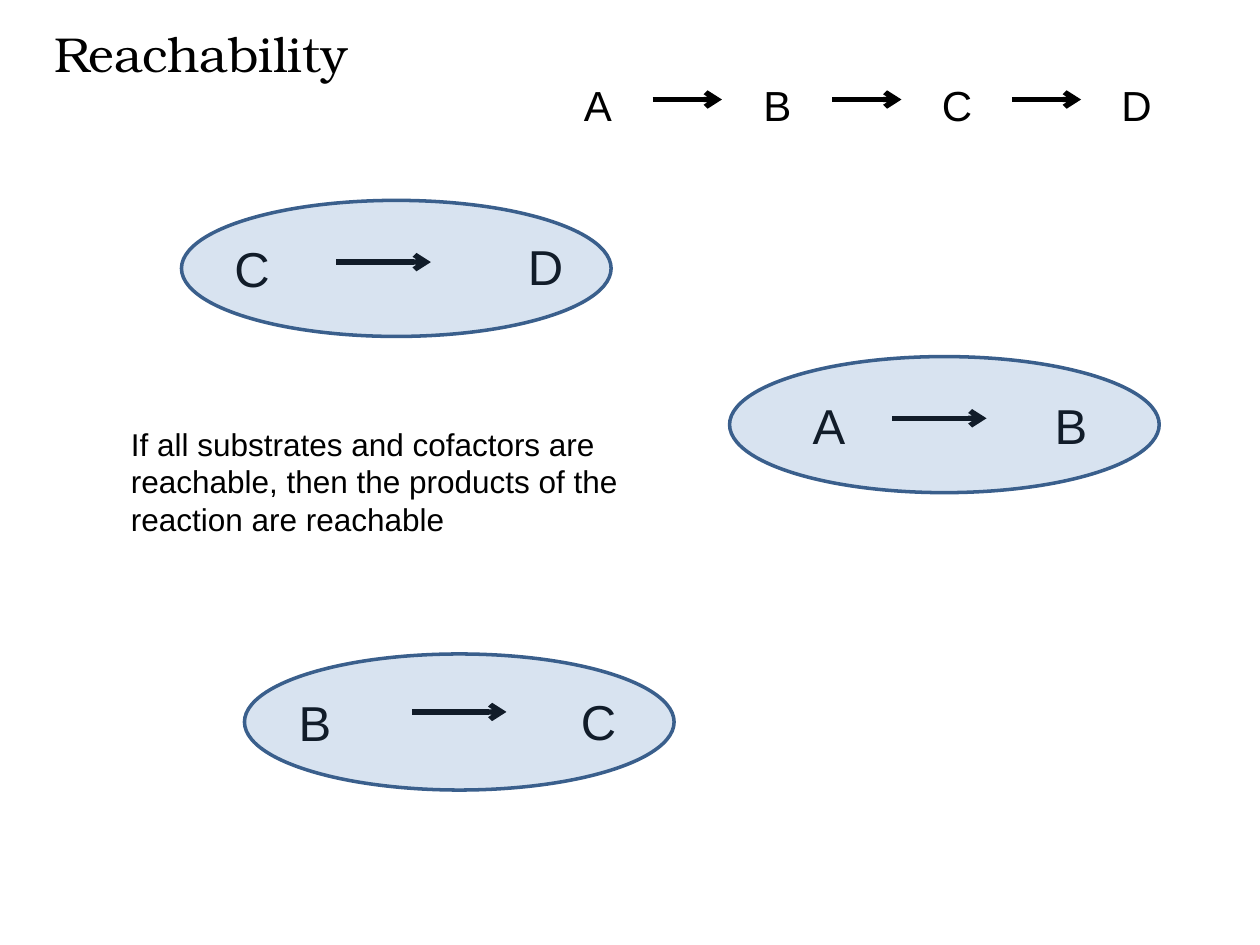
"""Build the Reachability slide: a reaction chain and its three reactions."""
from lxml import etree
from pptx import Presentation
from pptx import util as u
from pptx.dml import color
from pptx.enum import shapes, text
from pptx.oxml import ns

BLACK, BLUE, OUTLINE = "000000", "4F81BD", "3A5F8C"
CHAIN = "ABCD"
CHAIN_LEFT, CHAIN_TOP, CHAIN_STEP = 4.38, 0.58, 1.425
# Ellipse corner, arrow start, then each letter with its left and top
REACTIONS = [
    ((1.44, 1.59), (2.67, 2.08), [("C", 1.5, 1.84), ("D", 3.83, 1.83)]),
    ((5.79, 2.83), (7.08, 3.32), [("A", 6.08, 3.09), ("B", 8, 3.09)]),
    ((1.94, 5.19), (3.27, 5.65), [("B", 2, 5.45), ("C", 4.25, 5.44)]),
]


def rgb(value):
    """Return the colour for a hex string."""
    return color.RGBColor.from_string(value)


def inches(*lengths):
    """Return the lengths in inches."""
    return [u.Inches(length) for length in lengths]


def apply(target, formats):
    """Set every format value on the target."""
    for name, value in formats.items():
        setattr(target, name, value)


def write(holder, words, size, font="Arial", align=text.PP_ALIGN.LEFT):
    """Write black text into a shape that grows to fit it."""
    frame = holder.text_frame
    frame.text = words
    apply(frame, {"word_wrap": True,
                  "vertical_anchor": text.MSO_ANCHOR.TOP,
                  "auto_size": text.MSO_AUTO_SIZE.SHAPE_TO_FIT_TEXT})
    paragraph = frame.paragraphs[0]
    paragraph.alignment = align
    run_font = paragraph.runs[0].font
    apply(run_font, {"name": font, "size": u.Pt(size)})
    run_font.color.rgb = rgb(BLACK)


def add_title(slide, words):
    """Place and format the title placeholder."""
    title = slide.shapes.title
    sides = ("left", "top", "width", "height")
    apply(title, dict(zip(sides, inches(0.33, 0.14, 9.42, 0.57))))
    write(title, words, 28, font="TeX Gyre Bonum")


def add_text(slide, words, box, size, align=text.PP_ALIGN.CENTER):
    """Add a text box."""
    write(slide.shapes.add_textbox(*inches(*box)), words, size, align=align)


def add_arrow(slide, left, top, length):
    """Add a horizontal arrow pointing right."""
    arrow = slide.shapes.add_connector(
        shapes.MSO_CONNECTOR.STRAIGHT, *inches(left, top, left + length, top))
    arrow.line.width = u.Pt(3)
    arrow.line.color.rgb = rgb(BLACK)
    etree.SubElement(arrow.line._get_or_add_ln(), ns.qn("a:tailEnd"), type="arrow")
    etree.SubElement(arrow._element.spPr, ns.qn("a:effectLst"))


def add_ellipse(slide, left, top):
    """Add a translucent reaction ellipse."""
    ellipse = slide.shapes.add_shape(
        shapes.MSO_SHAPE.OVAL, *inches(left, top, 3.41, 1.08))
    ellipse.shadow.inherit = False
    ellipse.fill.solid()
    ellipse.fill.fore_color.rgb = rgb(BLUE)
    tint = ellipse._element.spPr.find(ns.qn("a:solidFill"))[0]
    etree.SubElement(tint, ns.qn("a:alpha"), val="22000")
    ellipse.line.width = u.Pt(2)
    ellipse.line.color.rgb = rgb(OUTLINE)


def add_reaction(slide, corner, arrow_start, compounds):
    """Add two compounds, the arrow between them and the ellipse on top."""
    for name, left, top in compounds:
        add_text(slide, name, (left, top, 1, 0.57), 28)
    add_arrow(slide, *arrow_start, 0.75)
    add_ellipse(slide, *corner)


def add_chain(slide):
    """Add the row of compounds joined by arrows."""
    for index, name in enumerate(CHAIN):
        left = CHAIN_LEFT + index * CHAIN_STEP
        add_text(slide, name, (left, CHAIN_TOP, 0.73, 0.5), 24)
        if index < len(CHAIN) - 1:
            add_arrow(slide, left + 0.8, CHAIN_TOP + 0.21, 0.55)


def main():
    """Build and save the slide."""
    deck = Presentation()
    apply(deck, {"slide_width": u.Inches(10), "slide_height": u.Inches(7.5)})
    slide = deck.slides.add_slide(deck.slide_layouts[5])
    add_title(slide, "Reachability")
    for reaction in REACTIONS:
        add_reaction(slide, *reaction)
    add_text(slide, "If all substrates and cofactors are reachable, "
             "then the products of the reaction are reachable",
             (0.94, 3.32, 4.21, 1.01), 18, align=text.PP_ALIGN.LEFT)
    add_chain(slide)
    deck.save("out.pptx")


if __name__ == "__main__":
    main()
